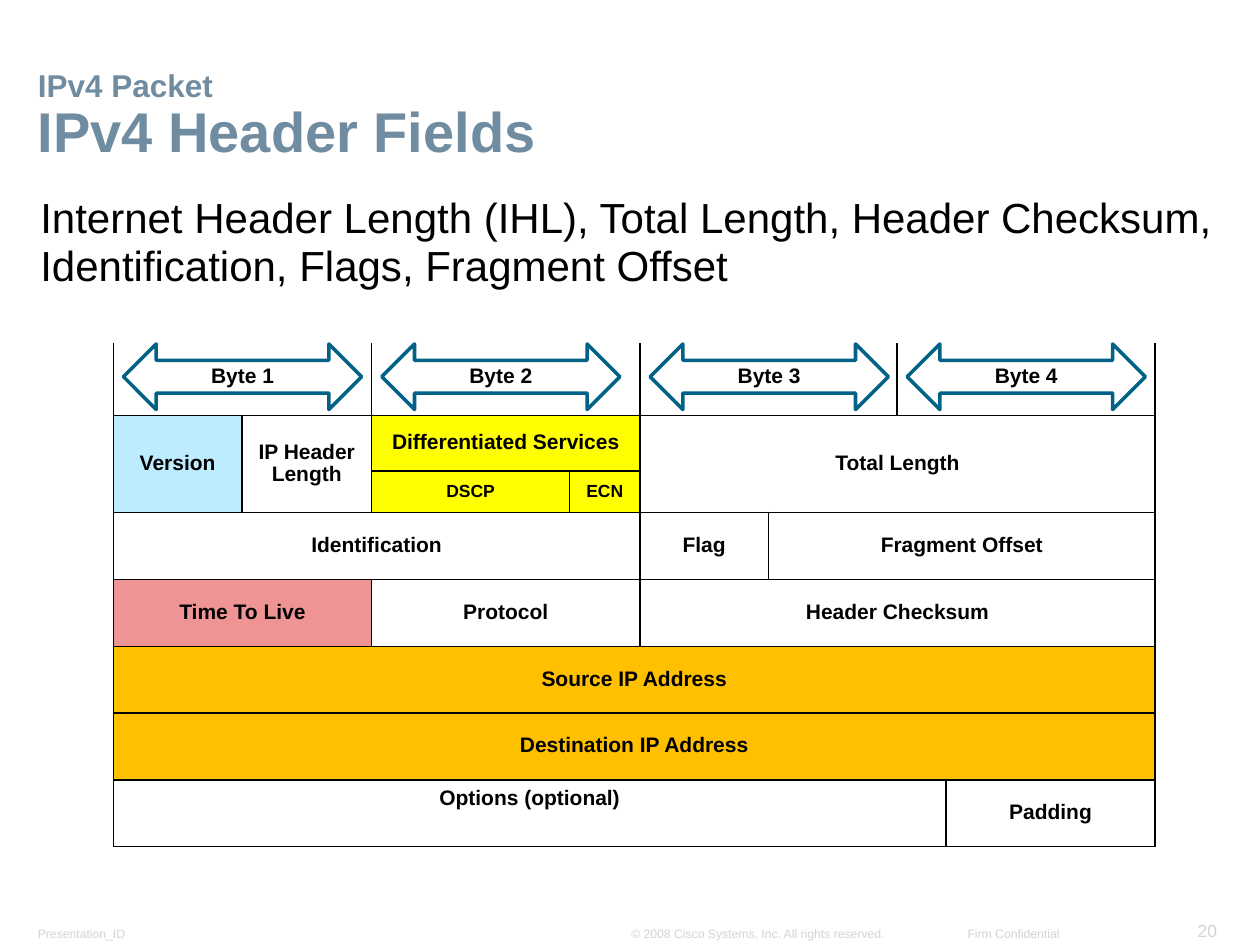
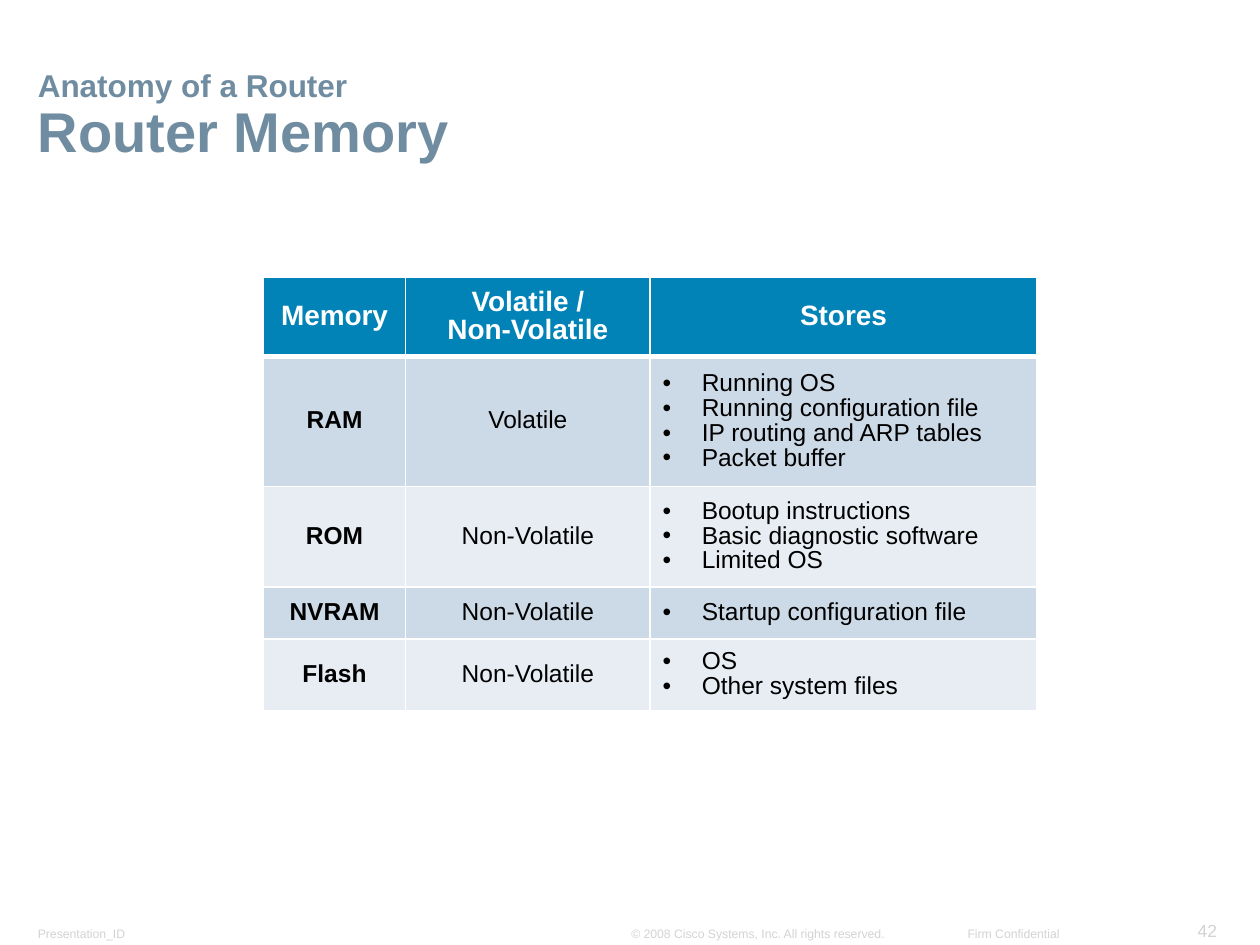
from itertools import accumulate
from lxml import etree
from pptx import Presentation
from pptx import util as u
from pptx.dml.color import RGBColor
from pptx.enum import shapes, text
from pptx.oxml.ns import qn

COLORS = {
    "title": "708CA1", "footer": "D3D3D3", "black": "000000", "white": "FFFFFF",
    "arrow": "016187", "version": "BEECFF", "services": "FFFF00", "lifetime": "EF9494",
    "address": "FFC000", "header": "0183B7", "odd": "CCD9E6", "even": "E7EDF3",
}
LEFT, CENTER, RIGHT = text.PP_ALIGN.LEFT, text.PP_ALIGN.CENTER, text.PP_ALIGN.RIGHT
TOP, MIDDLE, BOTTOM = text.MSO_ANCHOR.TOP, text.MSO_ANCHOR.MIDDLE, text.MSO_ANCHOR.BOTTOM

presentation = Presentation()
presentation.slide_width = u.Inches(10)
presentation.slide_height = u.Inches(7.5)
GRID = presentation.slide_width // 100


def write(frame, lines, size, color="black", bold=False, align=CENTER, spacing=0.9, bullet=False):
    for index, line in enumerate(lines):
        paragraph = frame.paragraphs[0] if index == 0 else frame.add_paragraph()
        paragraph.text = line
        paragraph.alignment = align
        paragraph.line_spacing = spacing
        if bullet:
            properties = paragraph._p.get_or_add_pPr()
            properties.set("marL", str(int(3.1 * GRID)))
            properties.set("indent", str(int(-3.1 * GRID)))
            etree.SubElement(properties, qn("a:buFont"), typeface="Arial")
            etree.SubElement(properties, qn("a:buChar"), char="•")
        font = paragraph.font
        font.name = "Arial"
        font.size = u.Pt(size)
        font.bold = bold
        font.color.rgb = RGBColor.from_string(COLORS[color])


def outline(cell, color, widths):
    properties = cell._tc.get_or_add_tcPr()
    for side, width in widths.items():
        line = etree.SubElement(properties, qn(f"a:ln{side}"), w=str(u.Pt(width)))
        fill = etree.SubElement(line, qn("a:solidFill"))
        etree.SubElement(fill, qn("a:srgbClr"), val=COLORS[color])


titles = [("IPv4 Packet", "IPv4 Header Fields", "20"),
          ("Anatomy of a Router", "Router Memory", "42")]
for topic, heading, number in titles:
    slide = presentation.slides.add_slide(presentation.slide_layouts[6])
    boxes = [
        ((2.1, 73, 10.5, 2.1), "Presentation_ID", 7, "footer", LEFT, False),
        ((94, 72.5, 3.5, 2.6), number, 10, "footer", RIGHT, False),
        ((49.2, 73, 22.1, 2.1), "© 2008 Cisco Systems, Inc. All rights reserved.", 7, "footer", LEFT, False),
        ((75.4, 73, 9.6, 2.1), "Firm Confidential", 7, "footer", RIGHT, False),
        ((2.1, 4.3, 95.9, 9.2), f"{topic}\v{heading}", 32, "title", LEFT, True),
    ]
    for box, words, size, color, align, bold in boxes:
        frame = slide.shapes.add_textbox(*(int(part * GRID) for part in box)).text_frame
        frame.word_wrap = bold
        frame.vertical_anchor = BOTTOM
        frame.margin_left = frame.margin_right = int(0.9 * GRID)
        frame.margin_top = frame.margin_bottom = int(0.4 * GRID)
        write(frame, [words], size, color, bold, align, 0.9 if bold else 1)
    frame.paragraphs[0].runs[0].font.size = u.Pt(18)

packet_slide, memory_slide = presentation.slides

frame = packet_slide.shapes.add_textbox(*(int(part * GRID) for part in (2.3, 15.1, 95.5, 9))).text_frame
frame.word_wrap = True
frame.margin_left = frame.margin_right = int(0.9 * GRID)
frame.margin_top = frame.margin_bottom = int(0.4 * GRID)
write(frame, ["Internet Header Length (IHL), Total Length, Header Checksum, "
              "Identification, Flags, Fragment Offset"], 24, align=LEFT, spacing=0.95)

column_widths = [10.2, 10.3, 15.7, 5.6, 10.2, 10.2, 3.9, 16.6]
row_heights = [5.7, 4.4, 3.3] + [5.3] * 5
table_left, table_top = 9, 27.3
table = packet_slide.shapes.add_table(
    8, 8, int(table_left * GRID), int(table_top * GRID),
    int(sum(column_widths) * GRID), int(sum(row_heights) * GRID)).table
table.first_row = table.horz_banding = False
for column, width in zip(table.columns, column_widths):
    column.width = int(width * GRID)
for row, height in zip(table.rows, row_heights):
    row.height = int(height * GRID)
for row in range(8):
    for column in range(8):
        cell = table.cell(row, column)
        outline(cell, "black", dict.fromkeys("LRB" if row == 0 else "LRTB", 1))
        cell.fill.background()

fields = [
    ("Version", 1, 0, 2, 1, "version"),
    ("IP Header Length", 1, 1, 2, 1, None),
    ("Differentiated Services", 1, 2, 1, 2, "services"),
    ("Total Length", 1, 4, 2, 4, None),
    ("DSCP", 2, 2, 1, 1, "services"),
    ("ECN", 2, 3, 1, 1, "services"),
    ("Identification", 3, 0, 1, 4, None),
    ("Flag", 3, 4, 1, 1, None),
    ("Fragment Offset", 3, 5, 1, 3, None),
    ("Time To Live", 4, 0, 1, 2, "lifetime"),
    ("Protocol", 4, 2, 1, 2, "white"),
    ("Header Checksum", 4, 4, 1, 4, None),
    ("Source IP Address", 5, 0, 1, 8, "address"),
    ("Destination IP Address", 6, 0, 1, 8, "address"),
    ("Options (optional)", 7, 0, 1, 7, None),
    ("Padding", 7, 7, 1, 1, None),
]
for column in range(0, 8, 2):
    table.cell(0, column).merge(table.cell(0, column + 1))
for name, row, column, row_span, column_span, color in fields:
    cell = table.cell(row, column)
    if row_span * column_span > 1:
        cell.merge(table.cell(row + row_span - 1, column + column_span - 1))
    cell.vertical_anchor = MIDDLE
    if color:
        cell.fill.solid()
        cell.fill.fore_color.rgb = RGBColor.from_string(COLORS[color])
    write(cell.text_frame, [name], 10 if row == 2 else 12, bold=True)
options_cell = table.cell(7, 0)
options_cell.vertical_anchor = TOP
options_cell.margin_top = int(0.7 * GRID)

column_lefts = list(accumulate(column_widths, initial=table_left))
for byte, left in enumerate(column_lefts[0:8:2], start=1):
    arrow = packet_slide.shapes.add_shape(
        shapes.MSO_SHAPE.LEFT_RIGHT_ARROW, int((left + 0.8) * GRID), int(table_top * GRID),
        int(18.9 * GRID), int(5.2 * GRID))
    arrow.shadow.inherit = False
    arrow.fill.background()
    arrow.line.color.rgb = RGBColor.from_string(COLORS["arrow"])
    arrow.line.width = u.Pt(2)
    arrow.text_frame.vertical_anchor = MIDDLE
    write(arrow.text_frame, [f"Byte {byte}"], 12, bold=True)

memory_rows = [
    (["Memory"], ["Volatile /", "Non-Volatile"], ["Stores"]),
    (["RAM"], ["Volatile"],
     ["Running OS", "Running configuration file", "IP routing and ARP tables", "Packet buffer"]),
    (["ROM"], ["Non-Volatile"], ["Bootup instructions", "Basic diagnostic software", "Limited OS"]),
    (["NVRAM"], ["Non-Volatile"], ["Startup configuration file"]),
    (["Flash"], ["Non-Volatile"], ["OS", "Other system files"]),
]
column_widths = [11.3, 19.4, 30.7]
row_heights = [6.3, 10.3, 8, 4.1, 5.7]
table = memory_slide.shapes.add_table(
    5, 3, int(20.9 * GRID), int(22 * GRID),
    int(sum(column_widths) * GRID), int(sum(row_heights) * GRID)).table
for column, width in zip(table.columns, column_widths):
    column.width = int(width * GRID)
for row, height in zip(table.rows, row_heights):
    row.height = int(height * GRID)
for row, contents in enumerate(memory_rows):
    is_header = row == 0
    color = "header" if is_header else "odd" if row % 2 else "even"
    for column, lines in enumerate(contents):
        cell = table.cell(row, column)
        outline(cell, "white", {"L": 1, "R": 1, "T": 3 if row == 1 else 1, "B": 3 if is_header else 1})
        cell.fill.solid()
        cell.fill.fore_color.rgb = RGBColor.from_string(COLORS[color])
        cell.vertical_anchor = MIDDLE
        is_list = column == 2 and not is_header
        write(cell.text_frame, lines, 16 if is_header else 14, "white" if is_header else "black",
              is_header or column == 0, LEFT if is_list else CENTER, bullet=is_list)

presentation.save("out.pptx")
